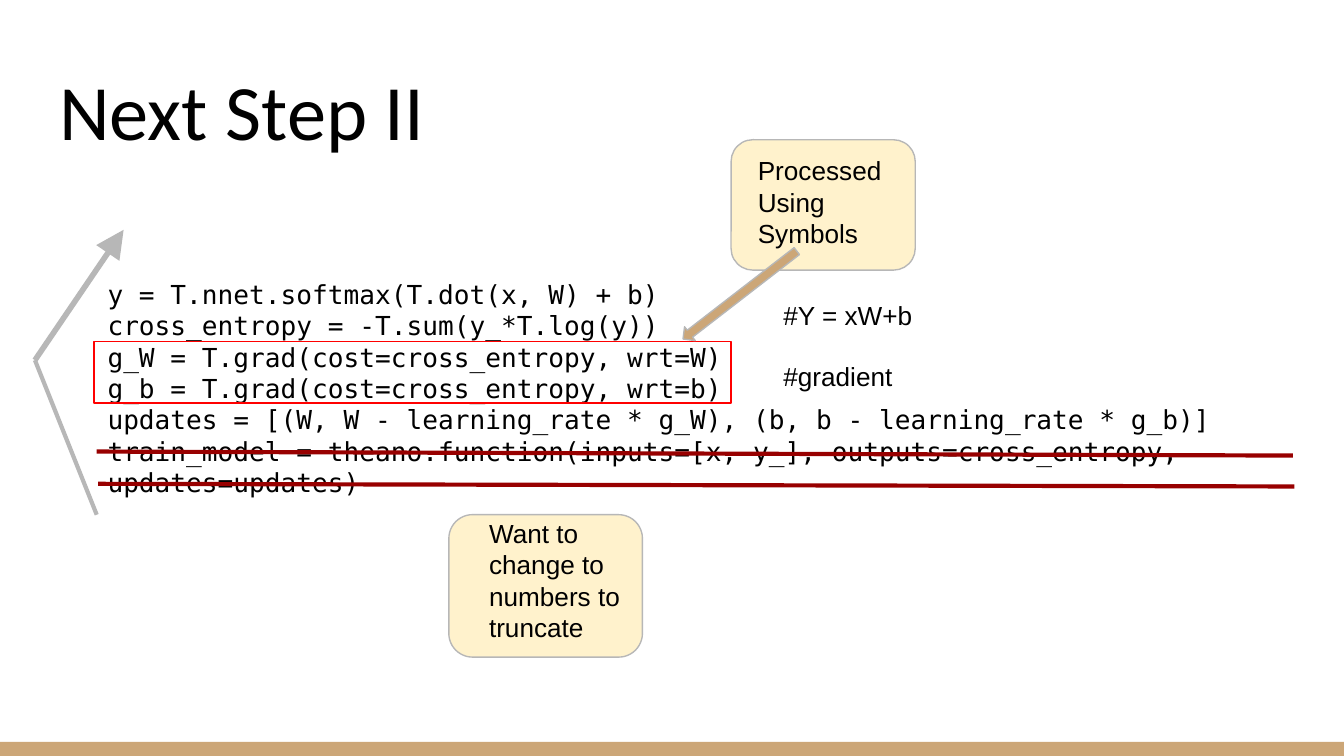
import pptx
import pptx.util
import pptx.dml.color
import pptx.enum.shapes
import pptx.enum.text
import pptx.oxml.ns
from pptx.util import Inches

COLORS = {
    "text": "000000",
    "tan": "CCA677",
    "cream": "FFF2CC",
    "gray": "B7B7B7",
    "red": "FF0000",
    "strike": "980000",
}

CODE = [
    "y = T.nnet.softmax(T.dot(x, W) + b)",
    "cross_entropy = -T.sum(y_*T.log(y))",
    "g_W = T.grad(cost=cross_entropy, wrt=W)",
    "g_b = T.grad(cost=cross_entropy, wrt=b)",
    "updates = [(W, W - learning_rate * g_W), (b, b - learning_rate * g_b)]",
    "train_model = theano.function(inputs=[x, y_], outputs=cross_entropy, updates=updates)",
]

SHAPES = pptx.enum.shapes.MSO_SHAPE


def rgb(name):
    return pptx.dml.color.RGBColor.from_string(COLORS[name])


def append_xml(parent, tag, **attributes):
    parent.append(parent.makeelement(pptx.oxml.ns.qn(tag), attributes))


class SlideBuilder:
    heading_font = "Calibri"
    code_font = "DejaVu Sans Mono"
    note_font = "Arial"
    text_size = 14
    text_pitch = 16.8

    def __init__(self, slide):
        self.slide = slide

    def fill_text(self, holder, lines, font, size, pitch=None, anchor="TOP"):
        frame = holder.text_frame
        frame.text = "\n".join(lines)
        frame.word_wrap = True
        frame.auto_size = pptx.enum.text.MSO_AUTO_SIZE.NONE
        frame.vertical_anchor = getattr(pptx.enum.text.MSO_ANCHOR, anchor)
        frame.margin_left = frame.margin_right = Inches(0.1)
        frame.margin_top = frame.margin_bottom = Inches(0.1)
        for paragraph in frame.paragraphs:
            paragraph.alignment = pptx.enum.text.PP_ALIGN.LEFT
            paragraph.space_before = pptx.util.Pt(0)
            if pitch:
                paragraph.line_spacing = pptx.util.Pt(pitch)
            paragraph.font.name = font
            paragraph.font.size = pptx.util.Pt(size)
            paragraph.font.color.rgb = rgb("text")

    def place(self, holder, left, top, width, height):
        holder.left, holder.top = Inches(left), Inches(top)
        holder.width, holder.height = Inches(width), Inches(height)

    def title(self, text, *box):
        heading = self.slide.shapes.title
        self.place(heading, *box)
        self.fill_text(heading, [text], self.heading_font, 42, anchor="BOTTOM")

    def code(self, lines, *box):
        listing = self.slide.placeholders[1]
        self.place(listing, *box)
        self.fill_text(listing, lines, self.code_font, self.text_size, self.text_pitch)
        for paragraph in listing.text_frame.paragraphs:
            properties = paragraph._p.get_or_add_pPr()
            properties.set("marL", "0")
            properties.set("indent", "0")
            bullet = properties.makeelement(pptx.oxml.ns.qn("a:buNone"), {})
            properties.find(pptx.oxml.ns.qn("a:defRPr")).addprevious(bullet)

    def note(self, text, *box):
        label = self.slide.shapes.add_textbox(*map(Inches, box))
        self.fill_text(label, [text], self.note_font, self.text_size, self.text_pitch)

    def shape(self, kind, *box, fill=None, line=None, rotation=0):
        block = self.slide.shapes.add_shape(kind, *map(Inches, box))
        block.shadow.inherit = False
        block.rotation = rotation
        if fill:
            block.fill.solid()
            block.fill.fore_color.rgb = rgb(fill)
        else:
            block.fill.background()
        if line:
            block.line.color.rgb = rgb(line)
            block.line.width = pptx.util.Pt(0.75)
        else:
            block.line.fill.background()

    def line(self, start, end, color, width, arrow=False):
        stroke = self.slide.shapes.add_connector(
            pptx.enum.shapes.MSO_CONNECTOR.STRAIGHT, *map(Inches, start + end))
        stroke.line.color.rgb = rgb(color)
        stroke.line.width = pptx.util.Pt(width)
        properties = stroke._element.spPr
        if arrow:
            outline = properties.find(pptx.oxml.ns.qn("a:ln"))
            append_xml(outline, "a:tailEnd", type="triangle", w="lg", len="lg")
        append_xml(properties, "a:effectLst")


def main():
    deck = pptx.Presentation()
    deck.slide_width = Inches(10)
    deck.slide_height = deck.slide_width * 9 // 16
    page = SlideBuilder(deck.slides.add_slide(deck.slide_layouts[1]))

    page.shape(SHAPES.RECTANGLE, 0, 5.52, 10, 0.11, fill="tan")
    page.title("Next Step II", 0.34, 0.35, 9.32, 0.91)
    page.code(CODE, 0.7, 1.97, 8.96, 2.54)

    page.line((0.72, 3.36), (9.62, 3.39), "strike", 2.25)
    loop_bend = (0.26, 2.68)
    page.line((0.72, 3.83), loop_bend, "gray", 2.25)
    page.line(loop_bend, (0.92, 1.71), "gray", 3, arrow=True)

    page.shape(SHAPES.RECTANGLE, 0.7, 2.54, 4.74, 0.46, line="red")
    for comment, top in (("#gradient", 2.58), ("#Y = xW+b", 2.13)):
        page.note(comment, 5.73, top, 1.92, 0.28)

    page.shape(SHAPES.ROUNDED_RECTANGLE, 5.44, 1.04, 1.37, 0.97, fill="cream", line="gray")
    page.note("Processed Using Symbols", 5.54, 1.05, 1.14, 0.81)
    page.shape(SHAPES.RIGHT_ARROW, 4.97, 2.13, 1.07, 0.13, fill="tan", line="gray", rotation=142.3)

    page.shape(SHAPES.ROUNDED_RECTANGLE, 3.34, 3.83, 1.44, 1.06, fill="cream", line="gray")
    page.note("Want to change to numbers to truncate", 3.54, 3.75, 1.18, 0.81)
    page.line((0.73, 3.6), (9.63, 3.62), "strike", 2.25)

    deck.save("out.pptx")


if __name__ == "__main__":
    main()
